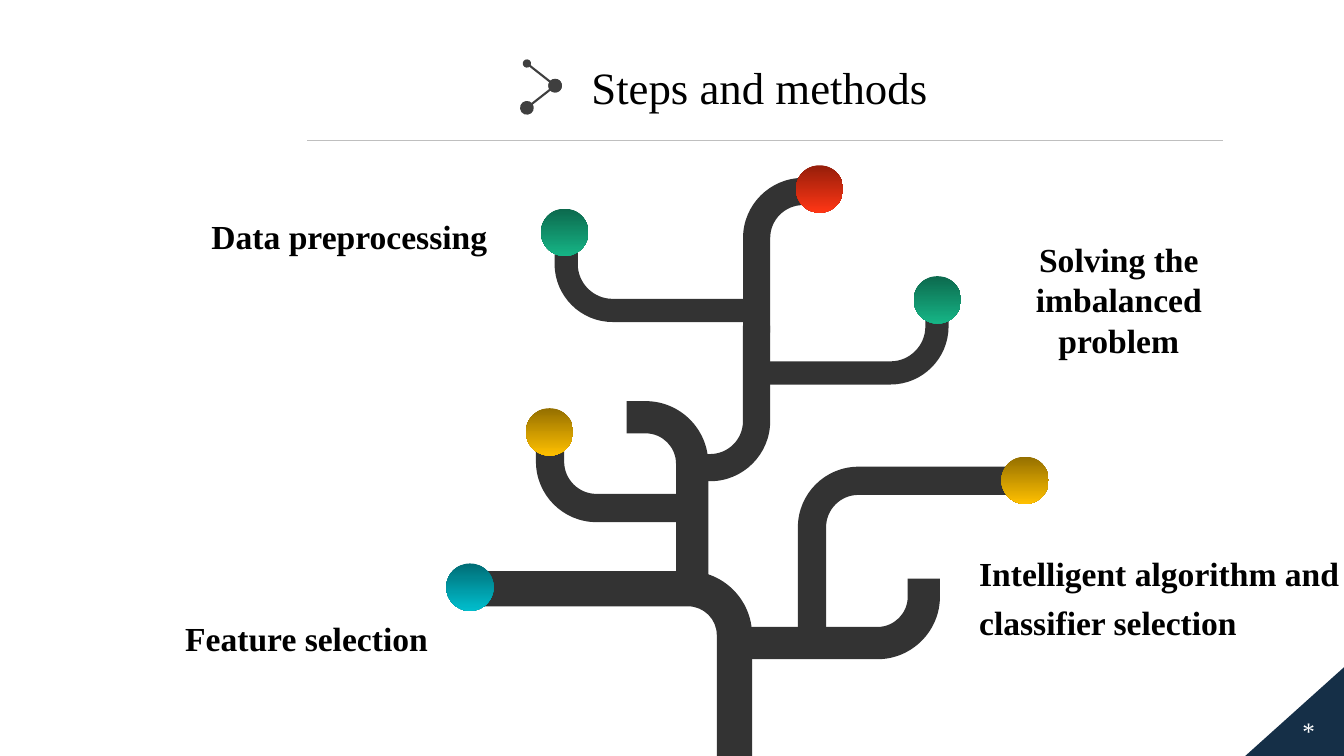
from lxml import etree
from pptx import Presentation
from pptx.dml.color import RGBColor
from pptx.enum.shapes import MSO_CONNECTOR, MSO_SHAPE
from pptx.enum.text import MSO_ANCHOR, MSO_AUTO_SIZE, PP_ALIGN
from pptx.oxml.ns import qn
from pptx.util import Inches, Pt

FONT = "Times New Roman"
RADIUS = 0.46  # bend radius of every branch, along its centre line
KAPPA = 0.55  # Bezier handle length of a quarter circle
DOT = 0.47


def rgb(value):
    return RGBColor.from_string(value)


def add_run(p, text, size, color="000000", bold=False):
    r = p.add_run()
    r.text = text
    r.font.name, r.font.size, r.font.bold = FONT, Pt(size), bold
    r.font.color.rgb = rgb(color)


prs = Presentation()
prs.slide_width, prs.slide_height = Inches(13.34), Inches(7.5)
slide = prs.slides.add_slide(prs.slide_layouts[5])
shapes = slide.shapes

# Title
title = shapes.title
title.left, title.top = Inches(5.77), Inches(0.54)
title.width, title.height = Inches(3.54), Inches(0.63)
tf = title.text_frame
tf.word_wrap = False
tf.auto_size = MSO_AUTO_SIZE.NONE
tf.vertical_anchor = MSO_ANCHOR.MIDDLE
p = tf.paragraphs[0]
p.alignment = PP_ALIGN.LEFT
add_run(p, "Steps and methods", 32)

# Title rule and the arrow of linked dots: ends, colour, width, dot sizes
lines = [
    ((3.05, 1.39), (12.14, 1.39), "BFBFBF", 0.5, {}),
    ((5.23, 0.63), (5.51, 0.85), "3F3F3F", 1.5, {"headEnd": "med", "tailEnd": "lg"}),
    ((5.51, 0.85), (5.23, 1.07), "3F3F3F", 1.5, {"headEnd": "lg", "tailEnd": "lg"}),
]
for start, end, color, width, dots in lines:
    line = shapes.add_connector(MSO_CONNECTOR.STRAIGHT, *map(Inches, start + end))
    line.line.color.rgb = rgb(color)
    line.line.width = Pt(width)
    for tag, size in dots.items():
        etree.SubElement(line.line._get_or_add_ln(), qn("a:" + tag),
                         type="oval", w=size, len=size)
    etree.SubElement(line._element.spPr, qn("a:effectLst"))

# Corner triangle and page mark
sp = shapes.add_shape(MSO_SHAPE.RIGHT_TRIANGLE, Inches(12.36), Inches(6.62),
                      Inches(0.98), Inches(0.88))
sp._element.spPr.xfrm.set("flipH", "1")
sp.shadow.inherit = False
sp.fill.solid()
sp.fill.fore_color.rgb = rgb("152F47")
sp.line.fill.background()

tf = shapes.add_textbox(Inches(12.64), Inches(6.97), Inches(0.7), Inches(0.55)).text_frame
tf.word_wrap = True
tf.vertical_anchor = MSO_ANCHOR.MIDDLE
p = tf.paragraphs[0]
p.alignment = PP_ALIGN.CENTER
add_run(p, "*", 18, "FFFFFF")

# Tree branches: start, corner and end of the centre line, then thickness
branches = [
    ((4.65, 5.84), (7.29, 5.84), (7.29, 7.5), 0.35),
    ((7.29, 6.38), (9.17, 6.38), (9.17, 5.74), 0.32),
    ((7.55, 3.7), (9.3, 3.7), (9.3, 3.05), 0.23),
    ((6.22, 4.14), (6.87, 4.14), (6.87, 5.85), 0.32),
    ((8.06, 6.44), (8.06, 4.77), (10.19, 4.77), 0.28),
    ((7.46, 3.08), (5.62, 3.08), (5.62, 2.43), 0.23),
    ((6.86, 5.04), (5.46, 5.04), (5.46, 4.4), 0.28),
    ((6.86, 4.64), (7.51, 4.64), (7.51, 3.23), 0.27),
    ((7.51, 3.3), (7.51, 1.9), (8.15, 1.9), 0.27),
]
for (sx, sy), (cx, cy), (ex, ey), width in branches:
    # Unit directions into the corner (u) and out of it (v), then the bend's centre
    into, out = abs(cx - sx) + abs(cy - sy), abs(ex - cx) + abs(ey - cy)
    ux, uy = (cx - sx) / into, (cy - sy) / into
    vx, vy = (ex - cx) / out, (ey - cy) / out
    ox, oy = cx + RADIUS * (vx - ux), cy + RADIUS * (vy - uy)
    edges = []
    for half in (width / 2, -width / 2):
        radius = RADIUS + half
        bend = [(0, 1), (KAPPA, 1), (1, KAPPA), (1, 0)]
        edges.append([(sx - vx * half, sy - vy * half)]
                     + [(ox + radius * (ux * a - vx * b), oy + radius * (uy * a - vy * b))
                        for a, b in bend]
                     + [(ex + ux * half, ey + uy * half)])
    outline = [(Inches(x), Inches(y)) for x, y in edges[0] + edges[1][::-1]]
    builder = shapes.build_freeform(*outline[0])
    builder.add_line_segments(outline[1:], close=True)
    sp = builder.convert_to_shape()
    # Turn the three segments of each bend into one curve
    segments = list(sp._element.iter(qn("a:lnTo")))
    for first in (1, 7):
        curve = etree.Element(qn("a:cubicBezTo"))
        segments[first].addprevious(curve)
        for segment in segments[first:first + 3]:
            curve.append(segment[0])
            segment.getparent().remove(segment)
    sp.shadow.inherit = False
    sp.fill.solid()
    sp.fill.fore_color.rgb = rgb("333333")
    sp.line.fill.background()

# Gradient dots at the branch tips
teal, gold = ("006D76", "00BECD"), ("946F00", "FFC000")
green, red = ("0C694D", "16B586"), ("951E0A", "FF3615")
tips = [(4.43, 5.59, teal), (5.22, 4.05, gold), (9.94, 4.53, gold),
        (9.07, 2.74, green), (5.37, 2.07, green), (7.9, 1.64, red)]
for x, y, colors in tips:
    sp = shapes.add_shape(MSO_SHAPE.OVAL, Inches(x), Inches(y), Inches(DOT), Inches(DOT))
    sp.shadow.inherit = False
    sp.line.fill.background()
    sp.fill.gradient()
    sp.fill.gradient_angle = 270
    for stop, position, color in zip(sp.fill.gradient_stops, (0, 1), colors):
        stop.position = position
        stop.color.rgb = rgb(color)

# Step labels: box, paragraphs, alignment, line spacing
left, center = PP_ALIGN.LEFT, PP_ALIGN.CENTER
labels = [
    (1.74, 6, 3.07, 0.58, ["Feature selection"], left, 1.2),
    (2, 2.01, 3.5, 0.58, ["Data preprocessing"], left, 1.2),
    (9.73, 2.32, 2.75, 1.3, ["Solving the", "imbalanced problem"], center, 1),
    (9.62, 5.36, 3.95, 1.06, ["Intelligent algorithm and classifier selection"], left, 1.2),
]
for x, y, w, h, texts, align, spacing in labels:
    tf = shapes.add_textbox(Inches(x), Inches(y), Inches(w), Inches(h)).text_frame
    tf.word_wrap = True
    for i, text in enumerate(texts):
        p = tf.add_paragraph() if i else tf.paragraphs[0]
        p.alignment = align
        p.line_spacing = spacing
        add_run(p, text, 24, bold=True)

prs.save("out.pptx")
